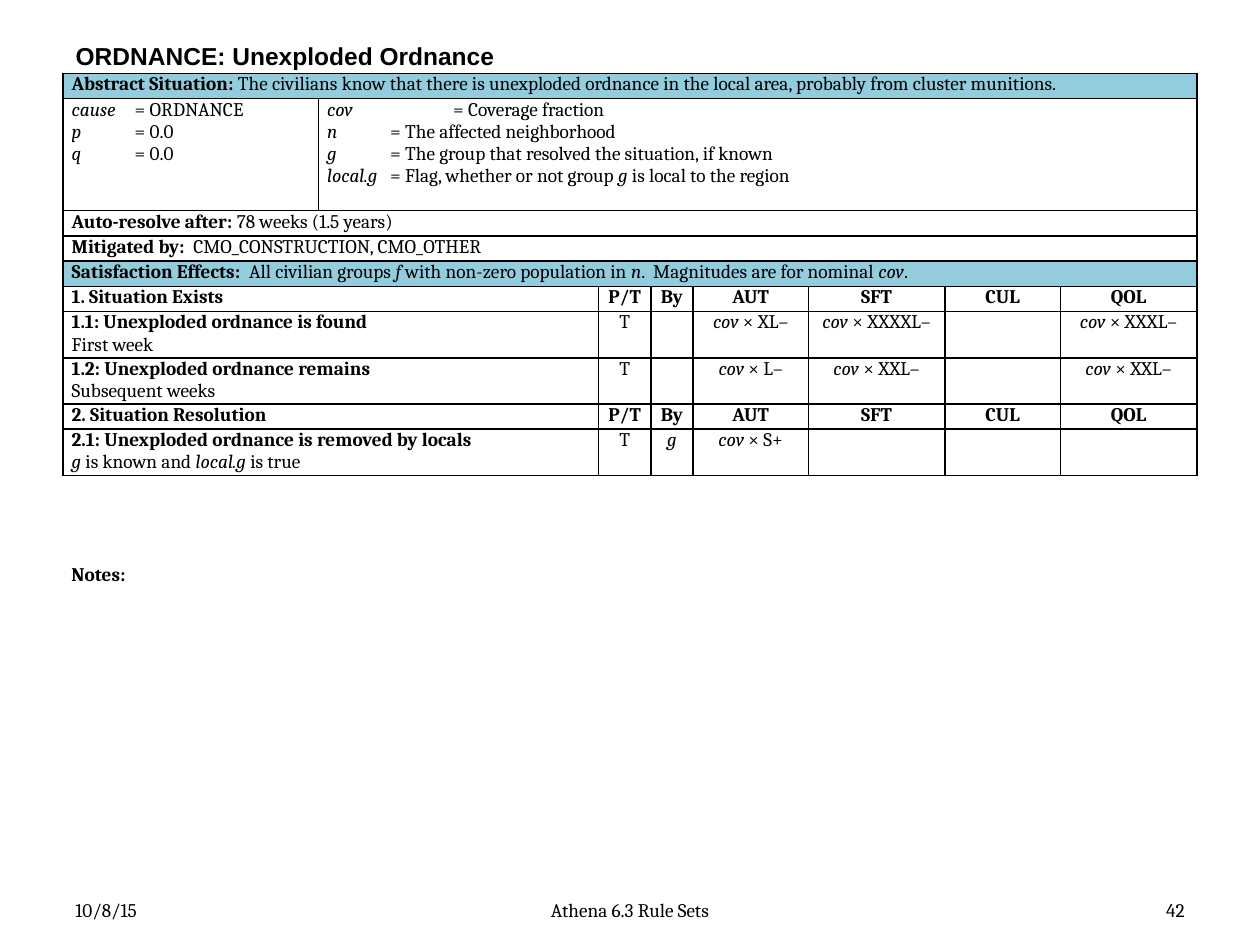
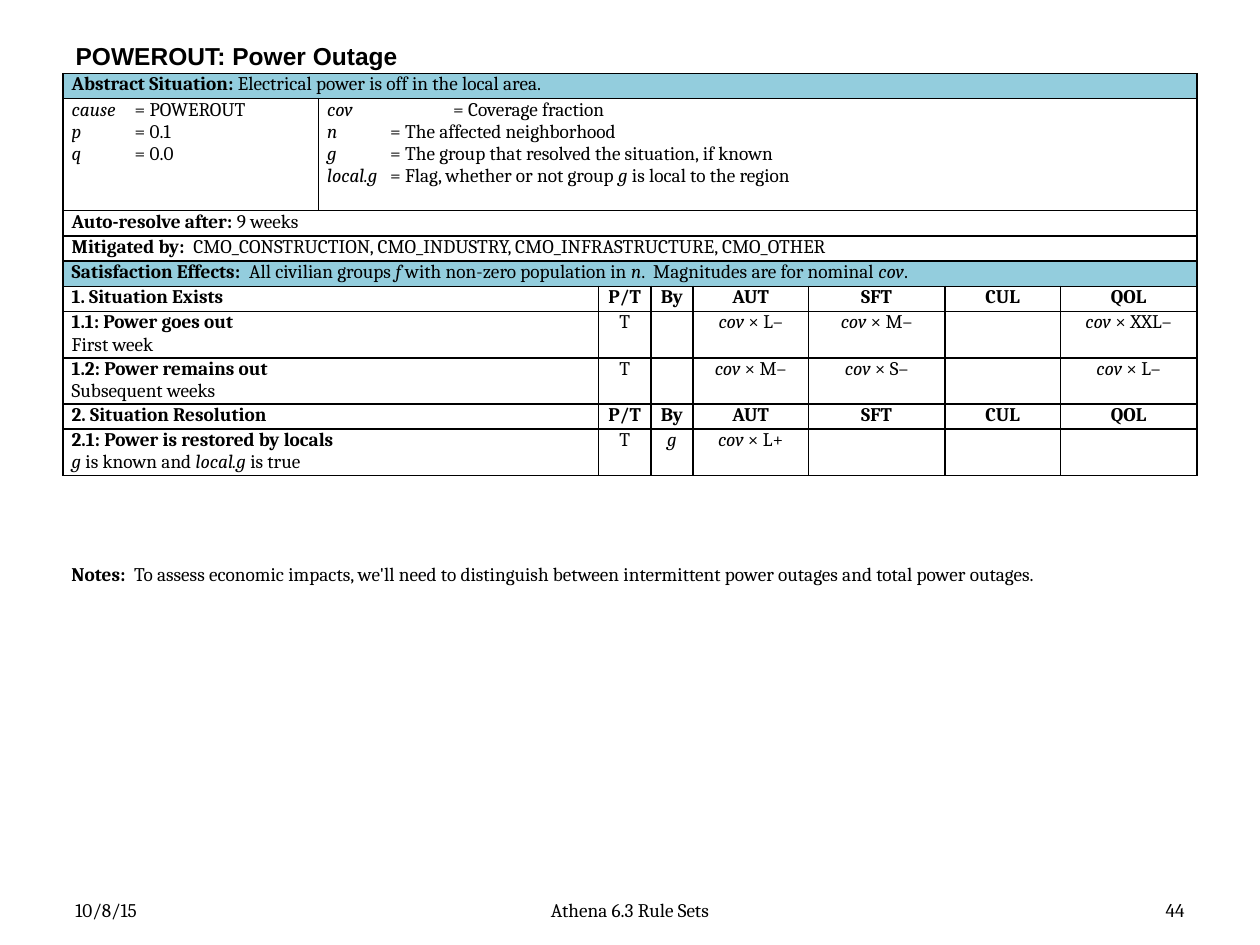
import lxml.etree
import pptx
import pptx.dml.color
import pptx.enum.text
import pptx.oxml.ns
import pptx.util

Pt = pptx.util.Pt
ALIGN = pptx.enum.text.PP_ALIGN
ANCHOR = pptx.enum.text.MSO_ANCHOR
AUTO_SIZE = pptx.enum.text.MSO_AUTO_SIZE
qn = pptx.oxml.ns.qn

BLACK = pptx.dml.color.RGBColor(0x00, 0x00, 0x00)
WHITE = pptx.dml.color.RGBColor(0xFF, 0xFF, 0xFF)
BAND_BLUE = pptx.dml.color.RGBColor(0x93, 0xCD, 0xDD)

COLUMN_WIDTHS = [146, 160, 30, 24, 66, 78, 66, 78]
LINE, DOUBLE, VARIABLES = 14.4, 25.5, 64
ROW_HEIGHTS = [LINE, VARIABLES, LINE, LINE, LINE, LINE, DOUBLE, DOUBLE, LINE, DOUBLE]
BAND_ROWS = [0, 4]
FULL_ROWS = [0, 2, 3, 4]
VARIABLE_ROW = 1
CONCERNS = ["*P/T*", "*By*", "*AUT*", "*SFT*", "*CUL*", "*QOL*"]
VARIABLE_NOTES = (
    "~cov\t~= Coverage fraction\n"
    "~n\t~= The affected neighborhood\n"
    "~g~\t= The group that resolved the situation, if known\n"
    "~local.g\t~= Flag, whether or not group ~g~ is local to the region"
)
EFFECTS = (
    "*Satisfaction Effects:  *All civilian groups ~f ~with non-zero population in ~n~."
    "  Magnitudes are for nominal ~cov~."
)

SITUATIONS = [
    {
        "title": "ORDNANCE: Unexploded Ordnance",
        "number": "42",
        "abstract": "The civilians know that there is unexploded ordnance in the local area, "
                    "probably from cluster munitions.",
        "cause": "ORDNANCE",
        "p": "0.0",
        "resolve": "78 weeks (1.5 years)",
        "mitigated": "CMO_CONSTRUCTION, CMO_OTHER",
        "rules": ["Unexploded ordnance is found", "Unexploded ordnance remains",
                  "Unexploded ordnance is removed by locals"],
        "magnitudes": [["XL–", "XXXXL–", "", "XXXL–"], ["L–", "XXL–", "", "XXL–"],
                       ["S+", "", "", ""]],
        "notes": "*Notes:*",
    },
    {
        "title": "POWEROUT: Power Outage",
        "number": "44",
        "abstract": "Electrical power is off in the local area.",
        "cause": "POWEROUT",
        "p": "0.1",
        "resolve": "9 weeks",
        "mitigated": "CMO_CONSTRUCTION, CMO_INDUSTRY, CMO_INFRASTRUCTURE, CMO_OTHER",
        "rules": ["Power goes out", "Power remains out", "Power is restored by locals"],
        "magnitudes": [["L–", "M–", "", "XXL–"], ["M–", "S–", "", "L–"],
                       ["L+", "", "", ""]],
        "notes": "*Notes:*  To assess economic impacts, we'll need to distinguish between "
                 "intermittent power outages and total power outages.",
    },
]


def write(frame, marked_text, align=ALIGN.LEFT):
    # "*" toggles bold and "~" toggles italic
    for index, line in enumerate(marked_text.split("\n")):
        para = frame.add_paragraph() if index else frame.paragraphs[0]
        para.alignment = align
        if "\t" in line:
            stops = lxml.etree.SubElement(para._p.get_or_add_pPr(), qn("a:tabLst"))
            stop = Pt(72) if line.startswith("~cov") else Pt(36)
            lxml.etree.SubElement(stops, qn("a:tab"), pos=str(stop), algn="l")
        for bold, part in enumerate(line.split("*")):
            for italic, words in enumerate(part.split("~")):
                if words:
                    span = para.add_run()
                    span.text = words
                    span.font.name = "Cambria"
                    span.font.size = Pt(11)
                    span.font.color.rgb = BLACK
                    span.font.bold = bold % 2 == 1
                    span.font.italic = italic % 2 == 1


def format_cell(cell, color):
    cell.fill.solid()
    cell.fill.fore_color.rgb = color
    cell.margin_left = cell.margin_right = Pt(5)
    cell.margin_top = cell.margin_bottom = Pt(0)
    properties = cell._tc.get_or_add_tcPr()
    for index, side in enumerate(["lnL", "lnR", "lnT", "lnB"]):
        border = lxml.etree.Element(qn("a:" + side), w=str(Pt(1)))
        fill = lxml.etree.SubElement(border, qn("a:solidFill"))
        lxml.etree.SubElement(fill, qn("a:srgbClr"), val=str(BLACK))
        properties.insert(index, border)


deck = pptx.Presentation()
deck.slide_width = Pt(720)
deck.slide_height = Pt(540)

for situation in SITUATIONS:
    page = deck.slides.add_slide(deck.slide_layouts[5])

    title = page.shapes.title
    title.left, title.top, title.width, title.height = Pt(36), Pt(21.6), Pt(648), Pt(20)
    title.text_frame.text = situation["title"]
    title.text_frame.auto_size = AUTO_SIZE.NONE
    title.text_frame.vertical_anchor = ANCHOR.MIDDLE
    title.text_frame.paragraphs[0].alignment = ALIGN.LEFT
    title_font = title.text_frame.paragraphs[0].runs[0].font
    title_font.name = "Arial"
    title_font.size = Pt(14)
    title_font.bold = True
    title_font.color.rgb = BLACK

    for left, width, align, text in [
        (36, 168, ALIGN.LEFT, "10/8/15"),
        (246, 228, ALIGN.CENTER, "Athena 6.3 Rule Sets"),
        (516, 168, ALIGN.RIGHT, situation["number"]),
    ]:
        footer = page.shapes.add_textbox(Pt(left), Pt(510), Pt(width), Pt(19.5))
        footer.text_frame.word_wrap = True
        footer.text_frame.vertical_anchor = ANCHOR.MIDDLE
        write(footer.text_frame, text, align)

    rules = situation["rules"]
    first, later, resolved = [
        [f"~cov~ × {size}" if size else "" for size in sizes]
        for sizes in situation["magnitudes"]
    ]
    rows = [
        [f"*Abstract Situation:* {situation['abstract']}"],
        [f"~cause~\t= {situation['cause']}\n~p~\t= {situation['p']}\n~q~\t= 0.0", VARIABLE_NOTES],
        [f"*Auto-resolve after:* {situation['resolve']}"],
        [f"*Mitigated by:*  {situation['mitigated']}"],
        [EFFECTS],
        ["*1. Situation Exists*"] + CONCERNS,
        [f"*1.1: {rules[0]}*\nFirst week", "T", ""] + first,
        [f"*1.2: {rules[1]}*\nSubsequent weeks", "T", ""] + later,
        ["*2. Situation Resolution*"] + CONCERNS,
        [f"*2.1: {rules[2]}*\n~g~ is known and ~local.g~ is true", "T", "~g~"] + resolved,
    ]

    frame = page.shapes.add_table(
        len(rows), len(COLUMN_WIDTHS), Pt(36), Pt(42), Pt(648), Pt(sum(ROW_HEIGHTS)))
    table = frame.table
    table.first_row = False
    table.horz_banding = False
    for column, width in zip(table.columns, COLUMN_WIDTHS):
        column.width = Pt(width)

    for row, texts in enumerate(rows):
        table.rows[row].height = Pt(ROW_HEIGHTS[row])
        for cell in table.rows[row].cells:
            format_cell(cell, BAND_BLUE if row in BAND_ROWS else WHITE)
        if row in FULL_ROWS:
            table.cell(row, 0).merge(table.cell(row, 7))
        elif row == VARIABLE_ROW:
            table.cell(row, 1).merge(table.cell(row, 7))
        else:
            table.cell(row, 0).merge(table.cell(row, 1))
        anchors = [cell for cell in table.rows[row].cells if not cell.is_spanned]
        for index, (cell, text) in enumerate(zip(anchors, texts)):
            centred = index > 0 and row != VARIABLE_ROW
            write(cell.text_frame, text, ALIGN.CENTER if centred else ALIGN.LEFT)

    notes = page.shapes.add_textbox(Pt(33.8), Pt(318), Pt(654), Pt(21))
    notes.text_frame.word_wrap = True
    notes.text_frame.auto_size = AUTO_SIZE.SHAPE_TO_FIT_TEXT
    write(notes.text_frame, situation["notes"])

deck.save("out.pptx")
